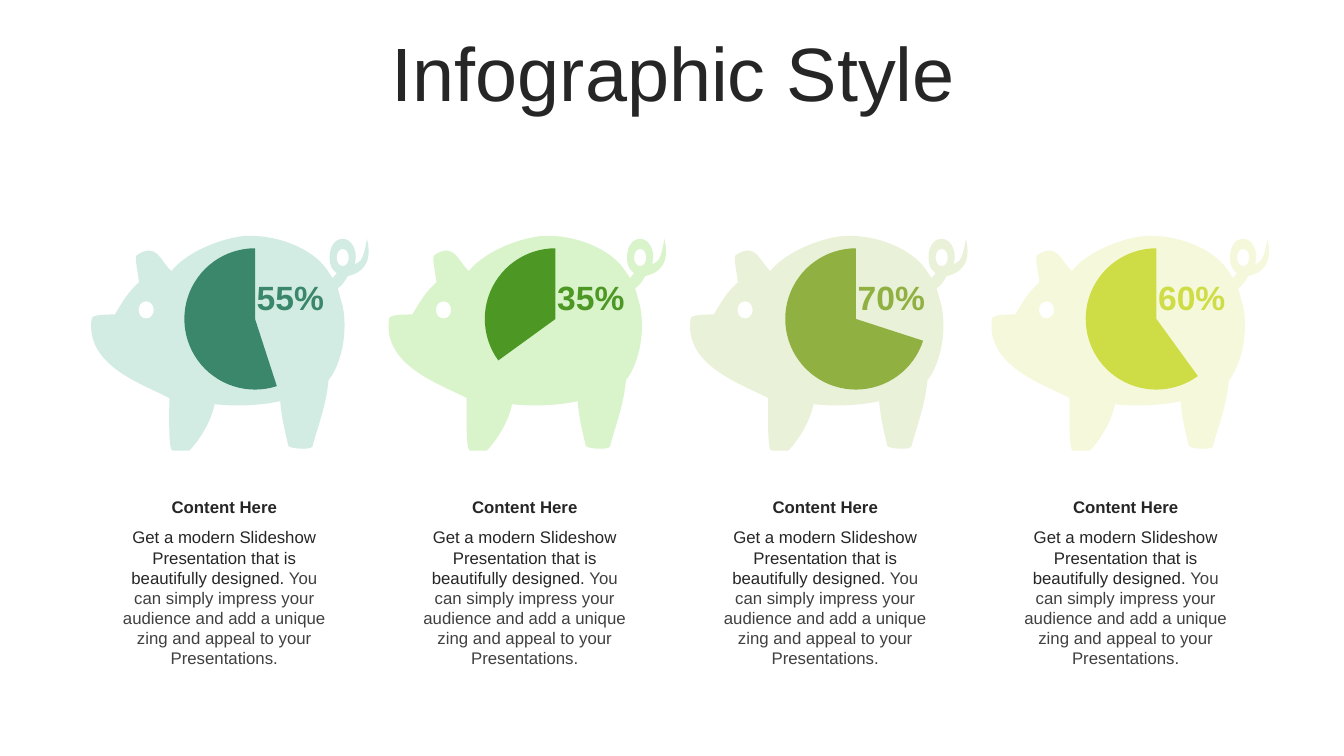
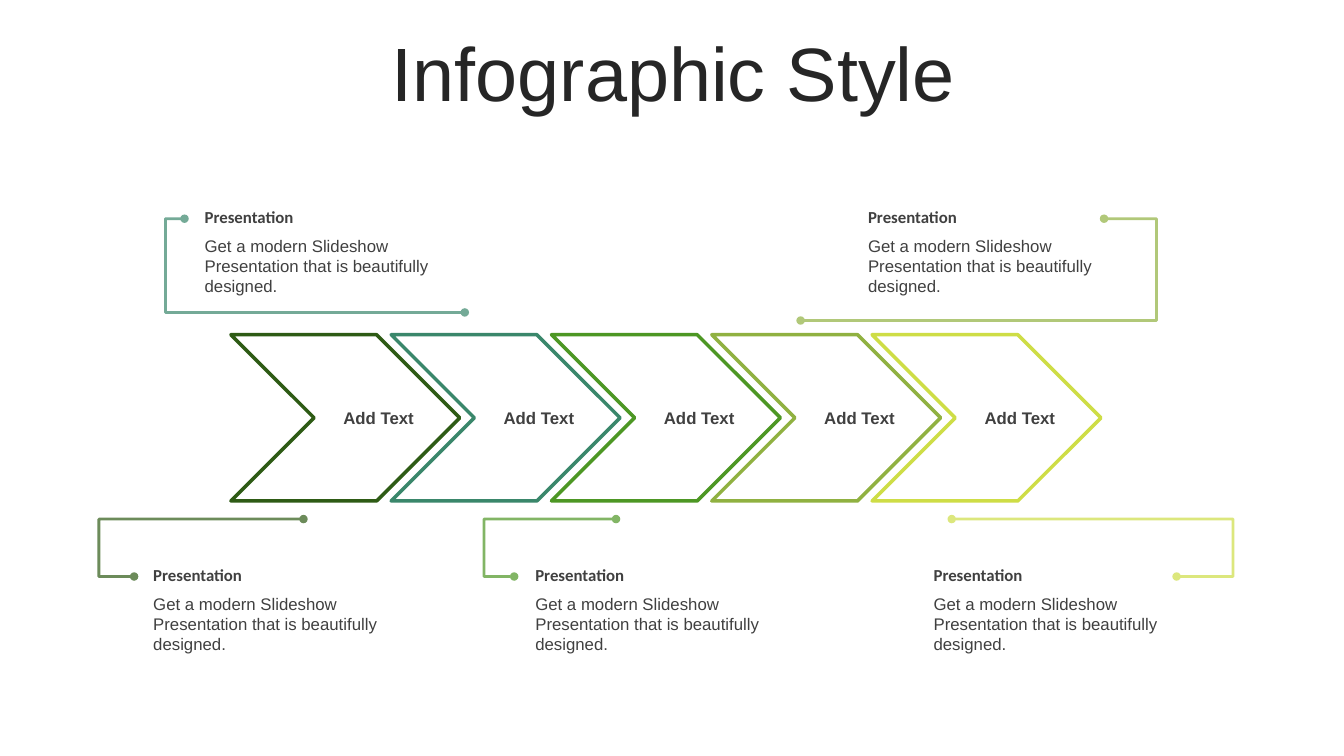
from itertools import chain

from lxml import etree
from pptx import Presentation
from pptx.chart.data import CategoryChartData
from pptx.dml.color import RGBColor
from pptx.enum.chart import XL_CHART_TYPE
from pptx.enum.shapes import MSO_CONNECTOR, MSO_SHAPE
from pptx.enum.text import MSO_ANCHOR, MSO_AUTO_SIZE, PP_ALIGN
from pptx.oxml import parse_xml
from pptx.oxml.ns import nsdecls, qn
from pptx.util import Inches, Pt

COLORS = {
    "ink": "262626", "gray": "404040",
    "forest": "2E5B15", "teal": "3A876B", "green": "4D9724",
    "olive": "90B141", "lime": "CEDD46",
    "pale_teal": "D3ECE3", "pale_green": "D9F3CB",
    "pale_olive": "E9F1D8", "pale_lime": "F5F8DA",
}
RGB = {name: RGBColor.from_string(value) for name, value in COLORS.items()}
OFFER = "Get a modern Slideshow Presentation that is beautifully designed."
BENEFIT = (" You can simply impress your audience and add a unique zing "
           "and appeal to your Presentations.")

# Body, eye and tail hole in hundredths of an inch, from the pig's top left.
# Pairs are line ends, sixes are two curve handles and a curve end.
PIG = [
    [(154, 0), (184, -1, 218, 12, 233, 33), (239, 42), (243, 37),
     (238, 33, 236, 30, 236, 21), (236, 11, 241, 3, 249, 3),
     (257, 3, 262, 12, 262, 21), (261, 28), (264, 26, 269, 29, 273, 3),
     (279, 27, 268, 37, 254, 40), (251, 45, 248, 50, 244, 52), (249, 70),
     (255, 101, 245, 131, 235, 143), (232, 171, 225, 186, 219, 209),
     (217, 213, 195, 211, 195, 208), (192, 195, 188, 179, 187, 164),
     (165, 169, 139, 169, 122, 167), (118, 185, 108, 201, 97, 213), (80, 213),
     (76, 212, 77, 178, 77, 161), (51, 147, -7, 129, 0, 82),
     (1, 78, 15, 78, 23, 78), (31, 65, 35, 57, 47, 46),
     (46, 37, 42, 20, 45, 19), (65, 6, 68, 25, 79, 35),
     (96, 14, 133, 1, 154, 0)],
    [(54, 65), (44, 65, 44, 82, 54, 82), (64, 82, 64, 65, 54, 65)],
    [(249, 13), (241, 13, 241, 30, 249, 30), (257, 30, 257, 13, 249, 13)],
]
UNIT = Inches(0.01)

prs = Presentation()
prs.slide_width, prs.slide_height = Inches(13.33), Inches(7.5)


def add_titled_slide():
    s = prs.slides.add_slide(prs.slide_layouts[5])
    title = s.shapes.title
    title.left, title.top = Inches(0.35), Inches(0.37)
    title.width, title.height = Inches(12.66), Inches(0.79)
    tf = title.text_frame
    tf.text = "Infographic Style"
    tf.auto_size = MSO_AUTO_SIZE.NONE
    tf.vertical_anchor = MSO_ANCHOR.MIDDLE
    p = tf.paragraphs[0]
    p.alignment = PP_ALIGN.CENTER
    p.line_spacing = 0.9
    p.font.name, p.font.size = "Arial", Pt(54)
    p.font.color.rgb = RGB["ink"]
    return s


def add_text(s, box, runs, size=12, font="Arial", bold=False,
             align=PP_ALIGN.CENTER, inset=0.1):
    """Add a one-paragraph text box; runs are (text, colour name) pairs."""
    tf = s.shapes.add_textbox(*map(Inches, box)).text_frame
    tf.word_wrap = True
    tf.auto_size = MSO_AUTO_SIZE.SHAPE_TO_FIT_TEXT
    tf.margin_left = tf.margin_right = Inches(inset)
    p = tf.paragraphs[0]
    p.alignment = align
    p.font.name, p.font.size, p.font.bold = font, Pt(size), bold
    for text, color in runs:
        r = p.add_run()
        r.text = text
        r.font.color.rgb = RGB[color]


# Slide 1: pigs with pie charts
s = add_titled_slide()

pigs = [(0.91, 55, "teal"), (3.86, 35, "green"),
        (6.85, 70, "olive"), (9.84, 60, "lime")]
for i, (pig_x, percent, color) in enumerate(pigs):
    x = 1.08 + 2.98 * i

    builder = s.shapes.build_freeform(*PIG[0][0], scale=UNIT)
    for start, *segments in PIG:
        builder.move_to(*start)
        builder.add_line_segments([seg[-2:] for seg in segments], close=True)
    pig = builder.convert_to_shape(Inches(pig_x), Inches(2.34))
    pig.shadow.inherit = False
    pig.fill.solid()
    pig.fill.fore_color.rgb = RGB["pale_" + color]
    pig.line.fill.background()
    # Turn the straight segments that have handles into curves
    line_ends = list(pig._element.iter(qn("a:lnTo")))
    segments = chain.from_iterable(contour[1:] for contour in PIG)
    for line_end, seg in zip(line_ends, segments):
        if len(seg) == 6:
            line_end.tag = qn("a:cubicBezTo")
            for n in (0, 1):
                handle = etree.Element(qn("a:pt"), x=str(seg[2 * n]),
                                       y=str(seg[2 * n + 1]))
                line_end.insert(n, handle)

    data = CategoryChartData()
    data.categories = ["1", "2"]
    data.add_series("Series 1", (100 - percent, percent))
    chart = s.shapes.add_chart(
        XL_CHART_TYPE.PIE, Inches(x + 0.61), Inches(2.33),
        Inches(1.68), Inches(1.67), data).chart
    chart.has_title = chart.has_legend = False
    chart.font.name, chart.font.size = "Arial", Pt(10)
    chart.font.color.rgb = RGBColor(0, 0, 0)
    plot = chart.plots[0]
    plot.vary_by_categories = False
    rest, share = (plot.series[0].points[n].format for n in range(2))
    rest.fill.background()
    share.fill.solid()
    share.fill.fore_color.rgb = RGB[color]
    for part in (rest, share):
        part.line.fill.background()
    plot_area = chart.element.find(".//" + qn("c:plotArea"))
    for old in plot_area.findall(qn("c:layout")):
        plot_area.remove(old)
    plot_area.insert(0, parse_xml(
        f'<c:layout {nsdecls("c")}><c:manualLayout>'
        '<c:layoutTarget val="inner"/>'
        '<c:xMode val="edge"/><c:yMode val="edge"/>'
        '<c:x val="0.08"/><c:y val="0.08"/><c:w val="0.84"/><c:h val="0.84"/>'
        '</c:manualLayout></c:layout>'))

    add_text(s, (x + 1.33, 2.7, 0.94, 0.5), [(f"{percent}%", color)],
             size=24, bold=True)
    add_text(s, (x, 4.88, 2.29, 0.3), [("Content Here", "ink")], bold=True)
    add_text(s, (x, 5.18, 2.29, 1.51), [(OFFER, "ink"), (BENEFIT, "gray")])

# Slide 2: chevron process with callouts
s = add_titled_slide()

for i, color in enumerate(["forest", "teal", "green", "olive", "lime"]):
    x = 2.29 + 1.59 * i
    chevron = s.shapes.add_shape(MSO_SHAPE.CHEVRON, Inches(x), Inches(3.32),
                                 Inches(2.27), Inches(1.65))
    chevron.shadow.inherit = False
    chevron.fill.background()
    chevron.line.color.rgb = RGB[color]
    chevron.line.width = Pt(2.5)
    add_text(s, (x + 0.99, 4, 0.95, 0.3), [("Add Text", "gray")],
             bold=True, inset=0)

# Text left and top, then the connector: start, end and the x of its far side
callouts = [
    ("forest", 1.52, 5.55, (1.33, 5.72), (3.01, 5.15), 0.98),
    ("teal", 2.03, 2, (1.83, 2.17), (4.61, 3.1), 1.64),
    ("green", 5.31, 5.55, (5.1, 5.72), (6.11, 5.15), 4.8),
    ("olive", 8.61, 2, (7.94, 3.18), (10.95, 2.17), 11.47),
    ("lime", 9.26, 5.55, (11.67, 5.72), (9.44, 5.15), 12.23),
]
for color, x, y, start, end, far_x in callouts:
    add_text(s, (x, y, 2.23, 0.3), [("Presentation", "gray")],
             font="Calibri", bold=True, align=PP_ALIGN.LEFT, inset=0)
    add_text(s, (x, y + 0.29, 2.24, 0.71), [(OFFER, "gray")],
             align=PP_ALIGN.LEFT, inset=0)

    link = s.shapes.add_connector(MSO_CONNECTOR.ELBOW,
                                  *map(Inches, start + end))
    link.line.color.rgb = RGB[color]
    link.line.width = Pt(2)
    sp_pr = link._element.spPr
    bend = round((far_x - start[0]) / (end[0] - start[0]) * 100000)
    guides = sp_pr.find(qn("a:prstGeom")).get_or_add_avLst()
    etree.SubElement(guides, qn("a:gd"), name="adj1", fmla=f"val {bend}")
    ln = sp_pr.find(qn("a:ln"))
    etree.SubElement(ln.find(".//" + qn("a:srgbClr")), qn("a:alpha"), val="70000")
    for tag in ("a:headEnd", "a:tailEnd"):
        etree.SubElement(ln, qn(tag), type="oval")
    etree.SubElement(sp_pr, qn("a:effectLst"))

prs.save("out.pptx")
